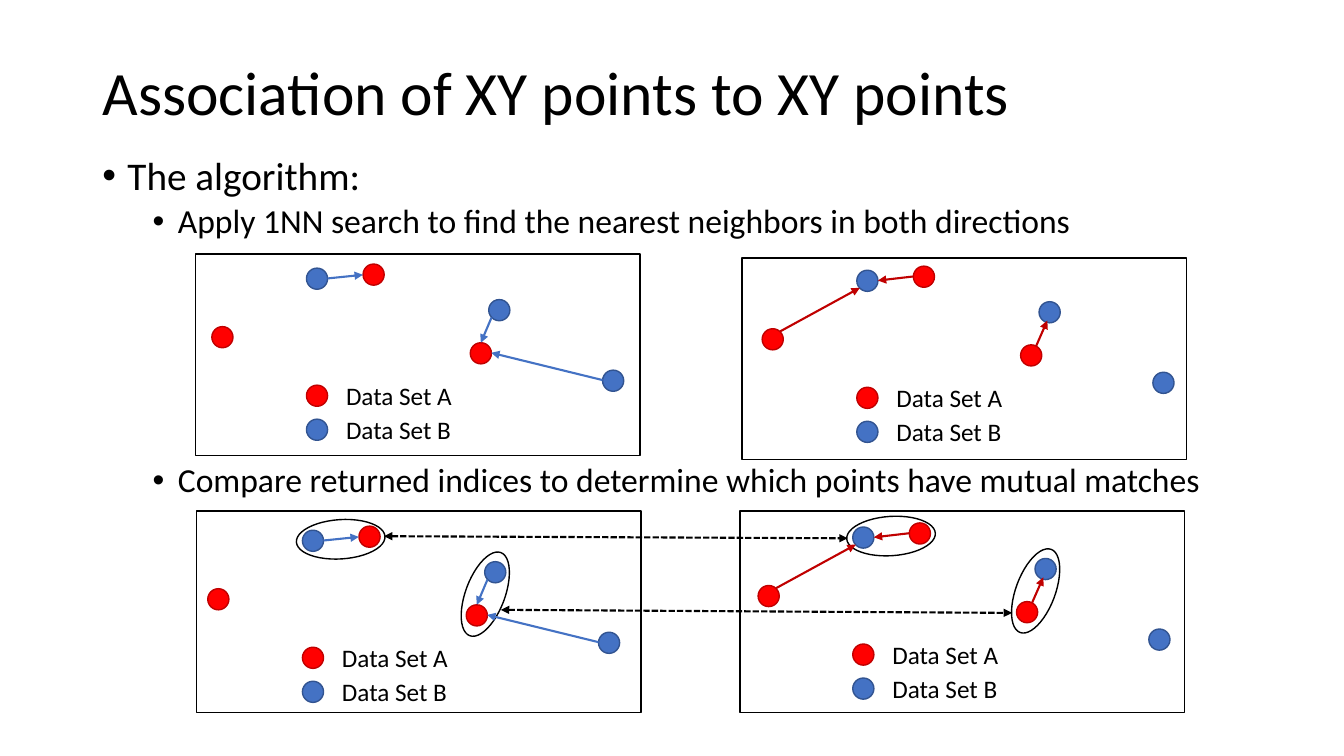
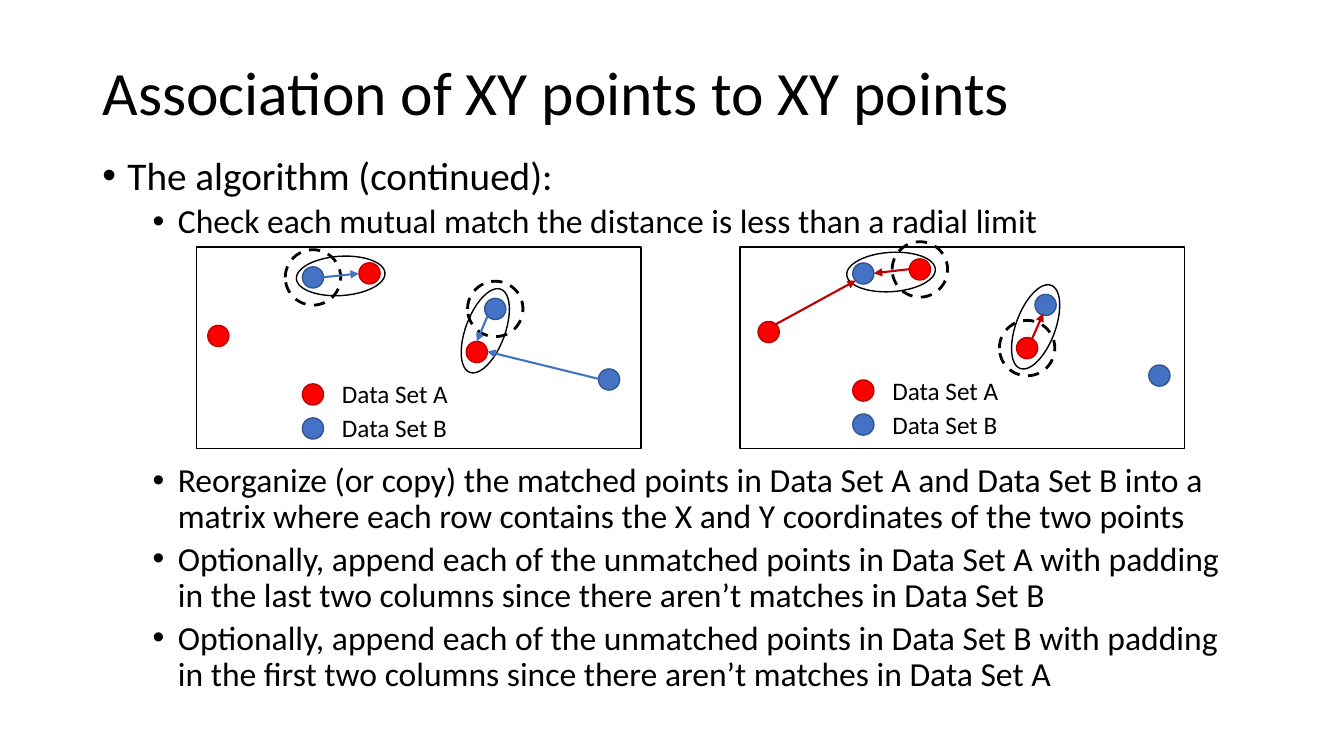
from dataclasses import dataclass

from lxml.etree import SubElement
from pptx import Presentation
from pptx.dml.color import RGBColor
from pptx.enum.dml import MSO_LINE
from pptx.enum.shapes import MSO_CONNECTOR, MSO_SHAPE
from pptx.enum.text import MSO_ANCHOR, MSO_AUTO_SIZE, PP_ALIGN
from pptx.oxml.ns import qn
from pptx.util import Pt


@dataclass(frozen=True)
class Theme:
    """Colours, font and type sizes of the deck."""
    black: str = "000000"
    white: str = "FFFFFF"
    red: str = "FF0000"
    dark_red: str = "C00000"
    blue: str = "4472C4"
    dark_blue: str = "325491"
    font: str = "Calibri"
    title: int = 44
    lead: int = 28
    item: int = 24
    label: int = 18


T = Theme()


def write(p, text, size, before=0, spacing=1, bullet_at=None):
    """Write text into a paragraph, with a bullet if bullet_at is given."""
    p.alignment = PP_ALIGN.LEFT
    p.space_before, p.line_spacing = Pt(before), spacing
    r = p.add_run()
    r.text = text
    r.font.name, r.font.size = T.font, Pt(size)
    r.font.color.rgb = RGBColor.from_string(T.black)
    if bullet_at is not None:
        pPr = p._p.get_or_add_pPr()
        pPr.set("marL", str(Pt(bullet_at + 18)))
        pPr.set("indent", str(Pt(-18)))
        SubElement(pPr, qn("a:buFont")).set("typeface", "Arial")
        SubElement(pPr, qn("a:buChar")).set("char", "•")


def outline(s, x, y, w, h, fill=None, line=T.black, width=1, kind=MSO_SHAPE.OVAL, turn=0, dash=None):
    """Add an outlined shape, hollow unless a fill is given."""
    sp = s.shapes.add_shape(kind, Pt(x), Pt(y), Pt(w), Pt(h))
    sp.shadow.inherit = False
    sp.rotation = turn
    if fill:
        sp.fill.solid()
        sp.fill.fore_color.rgb = RGBColor.from_string(fill)
    else:
        sp.fill.background()
    sp.line.color.rgb = RGBColor.from_string(line)
    sp.line.width = Pt(width)
    if dash:
        sp.line.dash_style = dash


# Plot geometry, measured from the top-left corner of the first blue point
DOT, LIMIT = 15.1, 39.6
PANEL_W, PANEL_H = 317.5, 144
RED_POINTS = [(40.4, -2.9), (117, 53.3), (-67.6, 41.8)]
BLUE_POINTS = [(0, 0), (130.2, 22.5), (211.5, 72.9)]
LEGEND = [("Data Set A", 83.6, T.red, T.dark_red),
          ("Data Set B", 107.9, T.blue, T.dark_blue)]
MATCHES = [(13.3, -25.2, 86.3), (116.6, 14, 20.5)]
SEARCHES = {
    "from B": (T.blue, BLUE_POINTS[:2],
               [(211.5, 80, 132, 60.5), (132.2, 35.3, 124.6, 53.3), (15.1, 7.4, 40.3, 4.8)]),
    "from A": (T.dark_red, RED_POINTS[:2],
               [(128.2, 54, 136.1, 36), (40.3, 4.5, 15.1, 7.4), (-54.7, 43.7, 2.2, 12.6)]),
}

# Each panel: search, frame corner, first blue point, matches shown, limits shown
SLIDES = [
    dict(lead="The algorithm:",
         items=["Apply 1NN search to find the nearest neighbors in both directions",
                "Compare returned indices to determine which points have mutual matches"],
         panels=[("from B", (139.7, 181.4), (218.9, 191.5), False, False),
                 ("from A", (529.9, 184.3), (612, 193), False, False),
                 ("from B", (140.4, 365), (216, 378.7), True, False),
                 ("from A", (528.5, 365), (609.1, 376.4), True, False)],
         links=[(274.3, 383, 605.5, 384.5), (357.8, 435.6, 722.9, 437.8)]),
    dict(lead="The algorithm (continued):",
         items=["Check each mutual match the distance is less than a radial limit",
                "Reorganize (or copy) the matched points in Data Set A and Data Set B into a "
                "matrix where each row contains the X and Y coordinates of the two points",
                "Optionally, append each of the unmatched points in Data Set A with padding "
                "in the last two columns since there aren’t matches in Data Set B",
                "Optionally, append each of the unmatched points in Data Set B with padding "
                "in the first two columns since there aren’t matches in Data Set A"],
         panels=[("from B", (140.4, 176.4), (216, 190.6), True, True),
                 ("from A", (528.5, 176.4), (609.1, 187.8), True, True)],
         links=[]),
]

prs = Presentation()
prs.slide_width, prs.slide_height = Pt(960), Pt(540)

for page in SLIDES:
    s = prs.slides.add_slide(prs.slide_layouts[5])
    title = s.shapes.title
    title.left, title.top, title.width, title.height = Pt(66), Pt(15.8), Pt(828), Pt(104.4)
    tf = title.text_frame
    tf.auto_size, tf.vertical_anchor = MSO_AUTO_SIZE.NONE, MSO_ANCHOR.MIDDLE
    write(tf.paragraphs[0], "Association of XY points to XY points", T.title, spacing=0.9)

    tf = s.shapes.add_textbox(Pt(66), Pt(108), Pt(828), Pt(400)).text_frame
    tf.word_wrap = True
    write(tf.paragraphs[0], page["lead"], T.lead, before=10, spacing=0.9, bullet_at=0)
    for i, item in enumerate(page["items"]):
        # The second item leaves room for the plots above it
        write(tf.add_paragraph(), item, T.item, before=158.8 if i == 1 else 4.5,
              spacing=0.9, bullet_at=36)

    arrows = [(link, T.black, True) for link in page["links"]]
    for search, frame, (ox, oy), matched, limited in page["panels"]:
        color, sources, steps = SEARCHES[search]
        outline(s, *frame, PANEL_W, PANEL_H, fill=T.white, kind=MSO_SHAPE.RECTANGLE)
        for points, fill, edge in ((RED_POINTS, T.red, T.dark_red),
                                   (BLUE_POINTS, T.blue, T.dark_blue)):
            for x, y in points:
                outline(s, ox + x, oy + y, DOT, DOT, fill=fill, line=edge)
        for name, y, fill, edge in LEGEND:
            outline(s, ox, oy + y, DOT, DOT, fill=fill, line=edge)
            tf = s.shapes.add_textbox(Pt(ox + 21.2), Pt(oy + y - 7.2), Pt(100), Pt(29)).text_frame
            tf.word_wrap = True
            write(tf.paragraphs[0], name, T.label)
        if matched:
            for x, y, turn in MATCHES:
                outline(s, ox + x, oy + y, 28.1, 63.4, turn=turn)
        if limited:
            shift = (DOT - LIMIT) / 2
            for x, y in sources:
                outline(s, ox + x + shift, oy + y + shift, LIMIT, LIMIT, width=2, dash=MSO_LINE.DASH)
        arrows += [((ox + x1, oy + y1, ox + x2, oy + y2), color, False)
                   for x1, y1, x2, y2 in steps]

    for ends, color, mutual in arrows:
        arrow = s.shapes.add_connector(MSO_CONNECTOR.STRAIGHT, *map(Pt, ends))
        arrow.line.color.rgb = RGBColor.from_string(color)
        arrow.line.width = Pt(1.5)
        if mutual:
            arrow.line.dash_style = MSO_LINE.SQUARE_DOT
        ln = arrow.line._get_or_add_ln()
        for tag in ("a:headEnd", "a:tailEnd") if mutual else ("a:tailEnd",):
            SubElement(ln, qn(tag)).set("type", "triangle")
        SubElement(arrow._element.spPr, qn("a:effectLst"))

prs.save("out.pptx")
